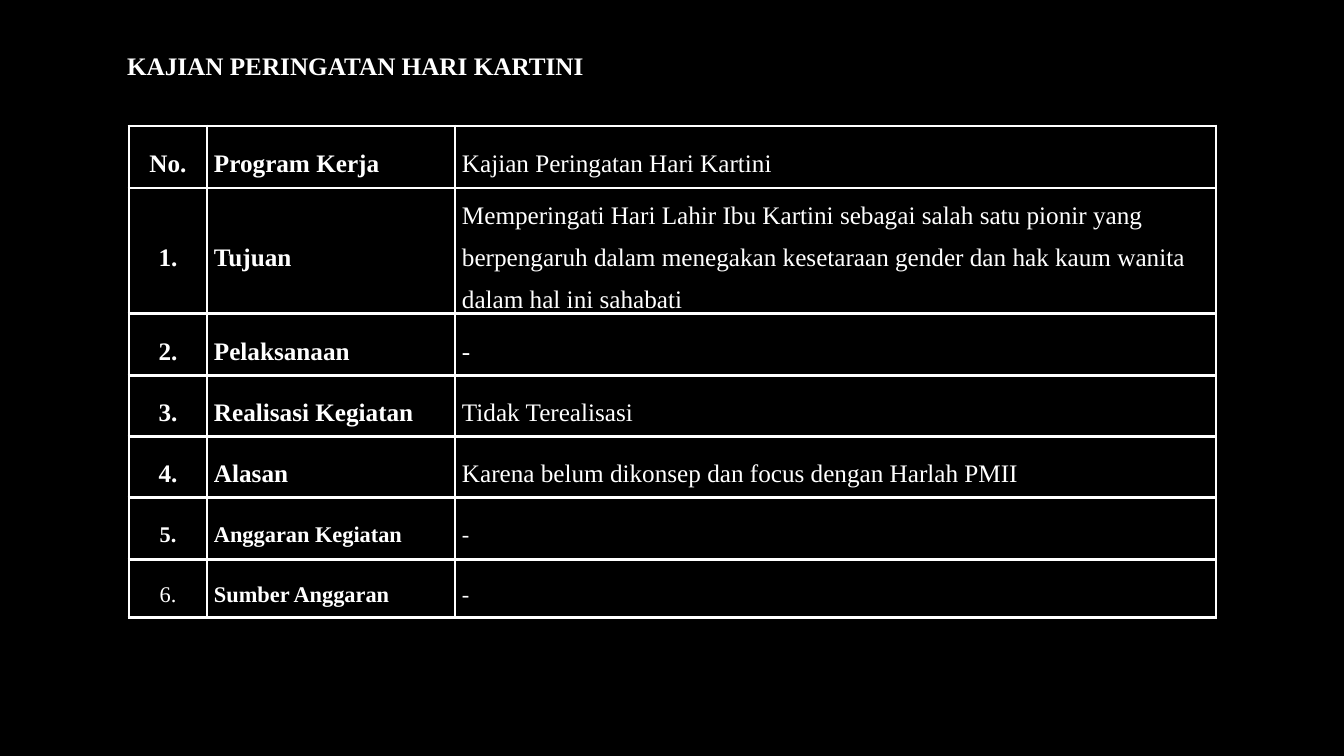
from dataclasses import dataclass

from lxml import etree
from pptx import Presentation
from pptx.dml.color import RGBColor
from pptx.enum.text import MSO_ANCHOR, MSO_AUTO_SIZE, PP_ALIGN
from pptx.oxml.ns import qn
from pptx.util import Emu, Pt

LEFT, CENTER, JUSTIFY = PP_ALIGN.LEFT, PP_ALIGN.CENTER, PP_ALIGN.JUSTIFY
MIDDLE = MSO_ANCHOR.MIDDLE
NO_AUTOFIT = MSO_AUTO_SIZE.NONE

EMU_PER_PX = 914400 / 100.8
FONT = "Times New Roman"
COLORS = {"background": "000000", "text": "FFFFFF", "border": "FFFFFF"}
BORDER_WIDTH = Pt(2.25)
COLUMN_WIDTHS = (78, 248, 761)
TITLE_ONLY_LAYOUT = 5


@dataclass(frozen=True)
class ProgramRow:
    number: str
    label: str
    detail: str
    height: int = 62
    size: int = 18
    align: PP_ALIGN = LEFT
    bold_number: bool = True


PROGRAM_ROWS = (
    ProgramRow("No.", "Program Kerja", "Kajian Peringatan Hari Kartini"),
    ProgramRow(
        "1.",
        "Tujuan",
        "Memperingati Hari Lahir Ibu Kartini sebagai salah satu pionir yang "
        "berpengaruh dalam menegakan kesetaraan gender dan hak kaum wanita "
        "dalam hal ini sahabati",
    ),
    ProgramRow("2.", "Pelaksanaan", "-"),
    ProgramRow("3.", "Realisasi Kegiatan", "Tidak Terealisasi", height=61, align=JUSTIFY),
    ProgramRow(
        "4.",
        "Alasan",
        "Karena belum dikonsep dan focus dengan Harlah PMII",
        height=61,
        align=JUSTIFY,
    ),
    ProgramRow("5.", "Anggaran Kegiatan", "-", size=16),
    ProgramRow("6.", "Sumber Anggaran", "-", height=58, size=16, bold_number=False),
)


def px(length: int) -> Emu:
    return Emu(round(length * EMU_PER_PX))


def add_text(paragraph, text: str, size: int, bold: bool, align: PP_ALIGN) -> None:
    paragraph.alignment = align
    run = paragraph.add_run()
    run.text = text
    run.font.name = FONT
    run.font.size = Pt(size)
    run.font.bold = bold
    run.font.color.rgb = RGBColor.from_string(COLORS["text"])


def add_borders(cell) -> None:
    properties = cell._tc.get_or_add_tcPr()
    for position, side in enumerate(("lnL", "lnR", "lnT", "lnB")):
        border = etree.Element(qn(f"a:{side}"), w=str(BORDER_WIDTH))
        fill = etree.SubElement(border, qn("a:solidFill"))
        etree.SubElement(fill, qn("a:srgbClr"), val=COLORS["border"])
        properties.insert(position, border)


def fill_cell(cell, text: str, size: int, bold: bool, align: PP_ALIGN) -> None:
    cell.fill.background()
    add_borders(cell)
    cell.vertical_anchor = MIDDLE
    cell.margin_left = cell.margin_right = px(7)
    cell.margin_top = cell.margin_bottom = px(0)
    paragraph = cell.text_frame.paragraphs[0]
    paragraph.line_spacing = 1.5
    paragraph.space_after = Pt(8)
    add_text(paragraph, text, size, bold, align)


def add_title(slide) -> None:
    title = slide.shapes.title
    title.left, title.top, title.width, title.height = px(117), px(26), px(719), px(82)
    frame = title.text_frame
    frame.auto_size = NO_AUTOFIT
    frame.word_wrap = True
    frame.vertical_anchor = MIDDLE
    heading = frame.paragraphs[0]
    heading.line_spacing = 0.9
    add_text(heading, "KAJIAN PERINGATAN HARI KARTINI", 18, True, LEFT)


def add_program_table(slide) -> None:
    program = slide.shapes.add_table(
        len(PROGRAM_ROWS),
        len(COLUMN_WIDTHS),
        px(129),
        px(126),
        px(sum(COLUMN_WIDTHS)),
        px(sum(row.height for row in PROGRAM_ROWS)),
    ).table
    program.first_row = False
    program.horz_banding = False
    for column, width in zip(program.columns, COLUMN_WIDTHS):
        column.width = px(width)
    for table_row, row in zip(program.rows, PROGRAM_ROWS):
        table_row.height = px(row.height)
        number, label, detail = table_row.cells
        fill_cell(number, row.number, row.size, row.bold_number, CENTER)
        fill_cell(label, row.label, row.size, True, row.align)
        fill_cell(detail, row.detail, row.size, False, row.align)


def main() -> None:
    presentation = Presentation()
    presentation.slide_width, presentation.slide_height = px(1344), px(756)
    slide = presentation.slides.add_slide(presentation.slide_layouts[TITLE_ONLY_LAYOUT])
    slide.background.fill.solid()
    slide.background.fill.fore_color.rgb = RGBColor.from_string(COLORS["background"])
    add_title(slide)
    add_program_table(slide)
    presentation.save("out.pptx")


if __name__ == "__main__":
    main()
